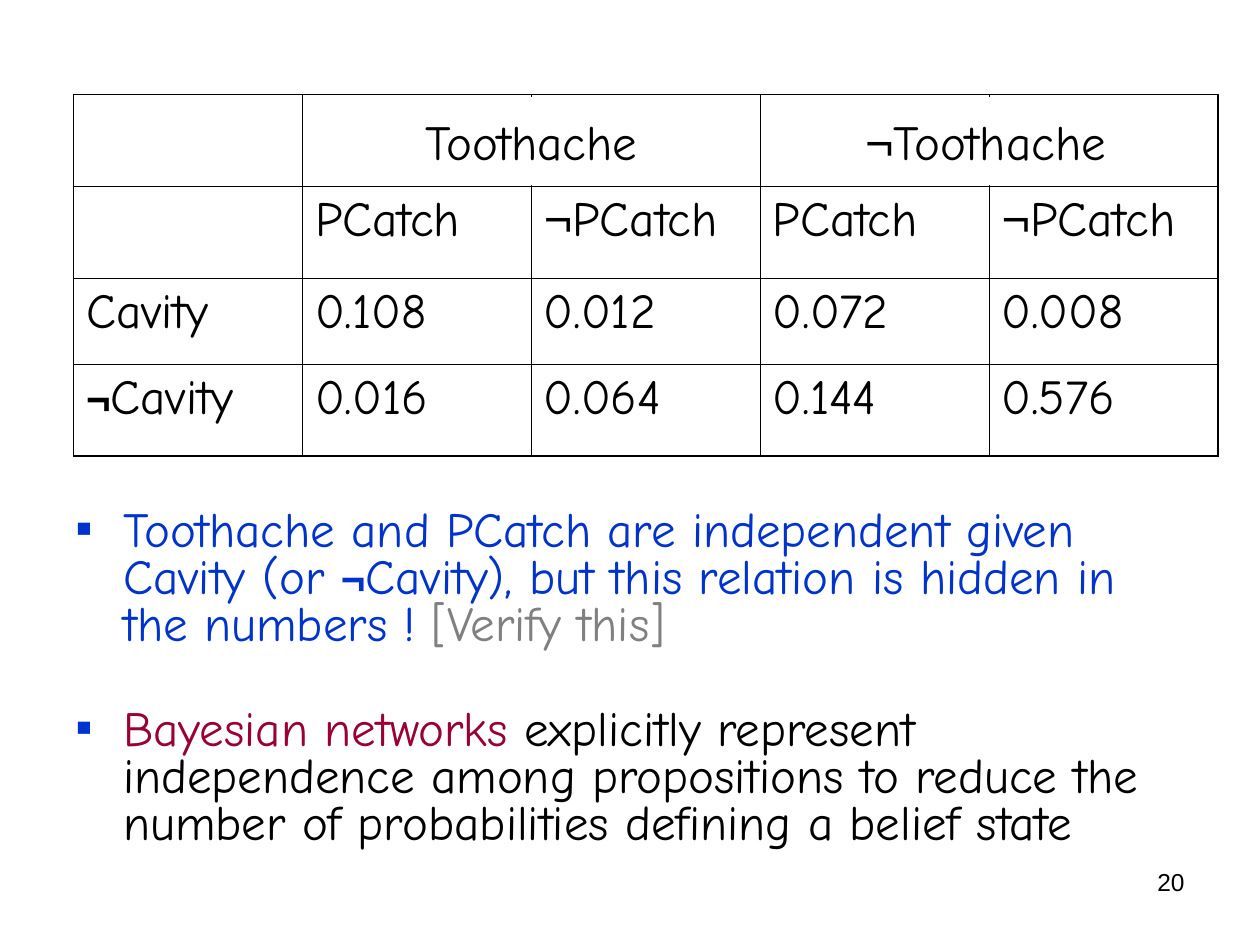
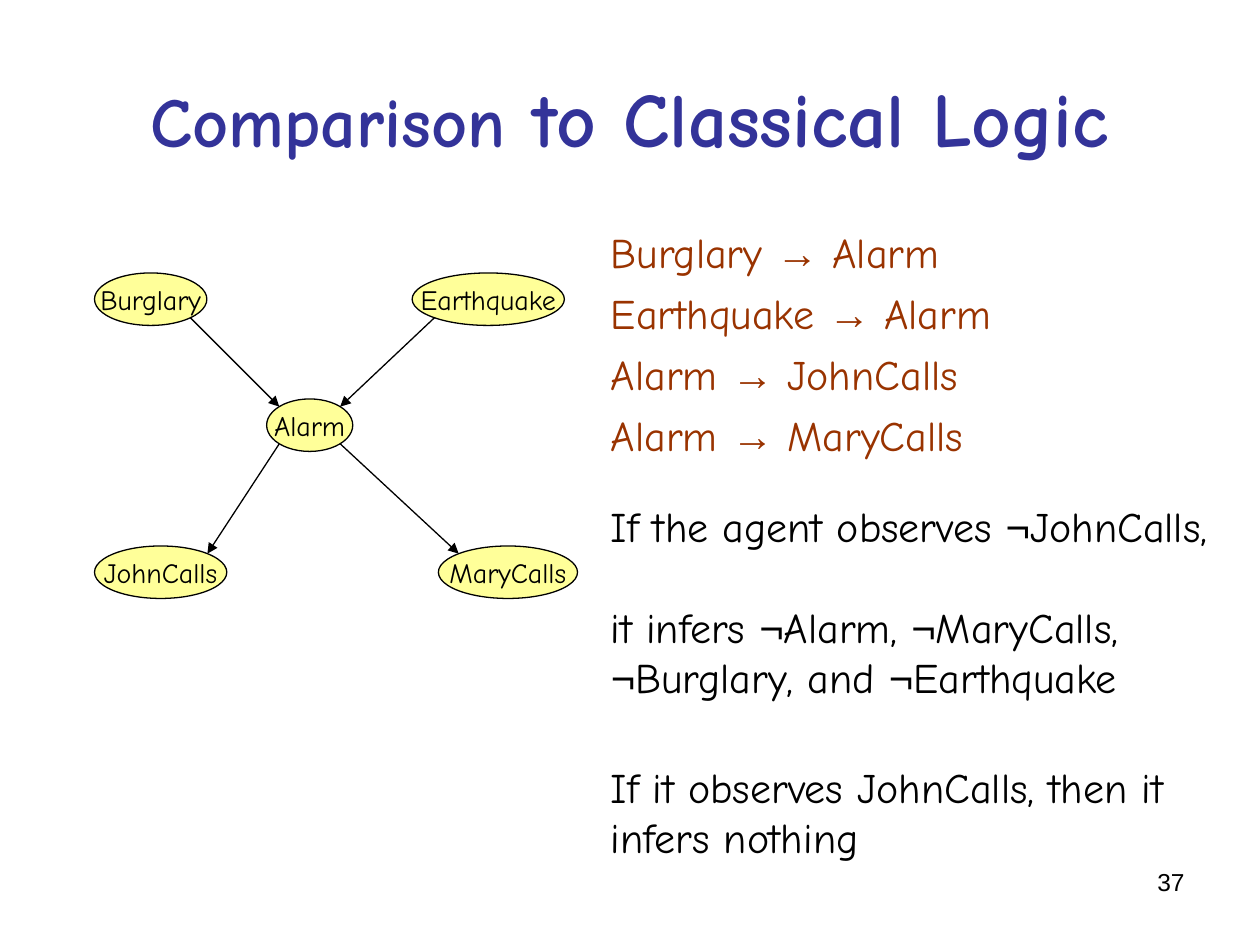
from itertools import groupby

from lxml.etree import SubElement
from pptx import Presentation
from pptx.dml.color import RGBColor
from pptx.enum.shapes import MSO_CONNECTOR, MSO_SHAPE
from pptx.enum.text import MSO_ANCHOR, PP_ALIGN
from pptx.oxml.ns import qn
from pptx.util import Inches, Pt

tint = RGBColor.from_string
BLACK, BLUE, GREY, MAROON = "000000", "0033CC", "808080", "990033"
NAVY, RUST, YELLOW, WHITE = "333399", "993300", "FFFF99", "FFFFFF"
BODY_FONT, SYMBOL_FONT = "Comic Neue", "Arial"

deck = Presentation()
deck.slide_width, deck.slide_height = Inches(10), Inches(7.5)
UNIT = deck.slide_width / 120


def grid(*units):
    return [round(unit * UNIT) for unit in units]


def write(frame, paragraphs, font=BODY_FONT, **layout):
    for index, (gap, parts) in enumerate(paragraphs):
        paragraph = frame.add_paragraph() if index else frame.paragraphs[0]
        if gap:
            paragraph.space_before = Pt(gap)
        for name, value in layout.items():
            setattr(paragraph, name, value)
        for text, size, colour, bold in parts:
            for is_symbol, letters in groupby(text, lambda letter: letter in "¬→"):
                run = paragraph.add_run()
                run.text = "".join(letters)
                looks = {"name": SYMBOL_FONT if is_symbol else font, "size": Pt(size), "bold": bold}
                for name, value in looks.items():
                    setattr(run.font, name, value)
                run.font.color.rgb = tint(colour)


cavity_slide, logic_slide = [deck.slides.add_slide(deck.slide_layouts[6]) for _ in range(2)]
for slide, number in ((cavity_slide, "20"), (logic_slide, "37")):
    page_number = slide.shapes.add_textbox(*grid(86, 82, 28, 6.25)).text_frame
    page_number.word_wrap = True
    write(page_number, [(0, [(number, 14, BLACK, False)])], SYMBOL_FONT, alignment=PP_ALIGN.RIGHT)

findings = cavity_slide.shapes.add_textbox(*grid(6, 48, 108, 37)).text_frame
findings.word_wrap = True
write(findings, [
    (0, [("Toothache and PCatch are independent given Cavity (or ", 28, BLUE, False),
         ("¬", 24, BLUE, True),
         ("Cavity), but this relation is hidden in the numbers ! ", 28, BLUE, False),
         ("[Verify this]", 28, GREY, False)]),
    (33, [("Bayesian networks", 28, MAROON, False),
          (" explicitly represent independence among propositions to reduce the number"
           " of probabilities defining a belief state", 28, BLACK, False)]),
], line_spacing=0.8)
for finding in findings.paragraphs:
    properties = finding._p.get_or_add_pPr()
    properties.set("marL", str(Inches(0.38)))
    properties.set("indent", str(-Inches(0.38)))
    SubElement(SubElement(properties, qn("a:buClr")), qn("a:srgbClr"), val=BLUE)
    SubElement(properties, qn("a:buFont"), typeface=SYMBOL_FONT)
    SubElement(properties, qn("a:buChar"), char="▪")

joint_rows = [
    ["", "", "", "", ""],
    ["", "PCatch", "¬PCatch", "PCatch", "¬PCatch"],
    ["Cavity", "0.108", "0.012", "0.072", "0.008"],
    ["¬Cavity", "0.016", "0.064", "0.144", "0.576"],
]
joint = cavity_slide.shapes.add_table(4, 5, *grid(7, 9, 109, 34.4)).table
joint.first_row = joint.horz_banding = False
for column in joint.columns:
    column.width = grid(109 / 5)[0]
for row, height in zip(joint.rows, grid(8.75, 8.75, 8.2, 8.75)):
    row.height = height
for r, values in enumerate(joint_rows):
    for c, value in enumerate(values):
        cell = joint.cell(r, c)
        edges = {"a:lnL": c == 0, "a:lnR": c == 4, "a:lnT": r == 0, "a:lnB": r == 3}
        for edge, is_outer in edges.items():
            border = SubElement(cell._tc.get_or_add_tcPr(), qn(edge), w=str(Pt(1.08 if is_outer else 0.45)))
            SubElement(SubElement(border, qn("a:solidFill")), qn("a:srgbClr"), val=BLACK)
        cell.fill.background()
        parts = [(value, 28, BLACK, False)]
        if value == "¬Cavity":
            parts = [("¬", 24, BLACK, True), ("Cavity", 28, BLACK, False)]
        write(cell.text_frame, [(0, parts)])

for heading, left in (("Toothache", 30), ("¬Toothache", 73.25)):
    banner = cavity_slide.shapes.add_shape(MSO_SHAPE.RECTANGLE, *grid(left, 9.25, 41.2, 8.4))
    banner.shadow.inherit = False
    banner.fill.solid()
    banner.fill.fore_color.rgb = tint(WHITE)
    banner.line.fill.background()
    banner.text_frame.word_wrap = False
    write(banner.text_frame, [(0, [(heading, 28, BLACK, False)])], alignment=PP_ALIGN.CENTER)

title = logic_slide.shapes.add_textbox(*grid(6, 3.6, 108, 15)).text_frame
title.word_wrap = True
title.vertical_anchor = MSO_ANCHOR.MIDDLE
write(title, [(0, [("Comparison", 40, NAVY, True), (" to Classical Logic", 44, NAVY, True)])],
      alignment=PP_ALIGN.CENTER)

reasoning = logic_slide.shapes.add_textbox(*grid(57, 21, 60, 65)).text_frame
reasoning.word_wrap = True
write(reasoning, [(gap, [(text, 24, colour, False)]) for gap, text, colour in (
    (0, "Burglary → Alarm", RUST),
    (6, "Earthquake → Alarm", RUST),
    (6, "Alarm → JohnCalls", RUST),
    (6, "Alarm → MaryCalls", RUST),
    (23, "If the agent observes ¬JohnCalls,", BLACK),
    (29, "it infers ¬Alarm, ¬MaryCalls, ¬Burglary, and ¬Earthquake", BLACK),
    (34, "If it observes JohnCalls, then it infers nothing", BLACK),
)])

events = {}
for event, left, top, width in (
    ("Burglary", 9, 26, 10.7),
    ("Earthquake", 39.25, 26, 14.5),
    ("Alarm", 25.4, 38, 8.2),
    ("MaryCalls", 41.75, 52, 13.25),
    ("JohnCalls", 9, 52, 12.6),
):
    node = logic_slide.shapes.add_shape(MSO_SHAPE.OVAL, *grid(left, top, width, 5))
    node.shadow.inherit = False
    node.fill.solid()
    node.fill.fore_color.rgb = tint(YELLOW)
    node.line.color.rgb = tint(BLACK)
    node.line.width = Pt(0.75)
    node.text_frame.word_wrap = False
    write(node.text_frame, [(0, [(event, 16, BLACK, False)])], alignment=PP_ALIGN.CENTER)
    events[event] = node

DIAGONAL = 0.5 ** 0.5 / 2
for cause, effect, across in (
    ("Burglary", "Alarm", 1),
    ("Earthquake", "Alarm", -1),
    ("Alarm", "JohnCalls", -1),
    ("Alarm", "MaryCalls", 1),
):
    ends = []
    for node, side, down in ((events[cause], across, 1), (events[effect], -across, -1)):
        ends += [round(node.left + node.width * (0.5 + side * DIAGONAL)),
                 round(node.top + node.height * (0.5 + down * DIAGONAL))]
    arrow = logic_slide.shapes.add_connector(MSO_CONNECTOR.STRAIGHT, *ends)
    arrow.line.color.rgb = tint(BLACK)
    arrow.line.width = Pt(0.75)
    SubElement(arrow.line._get_or_add_ln(), qn("a:tailEnd"), type="triangle")
    SubElement(arrow._element.spPr, qn("a:effectLst"))

deck.save("out.pptx")
